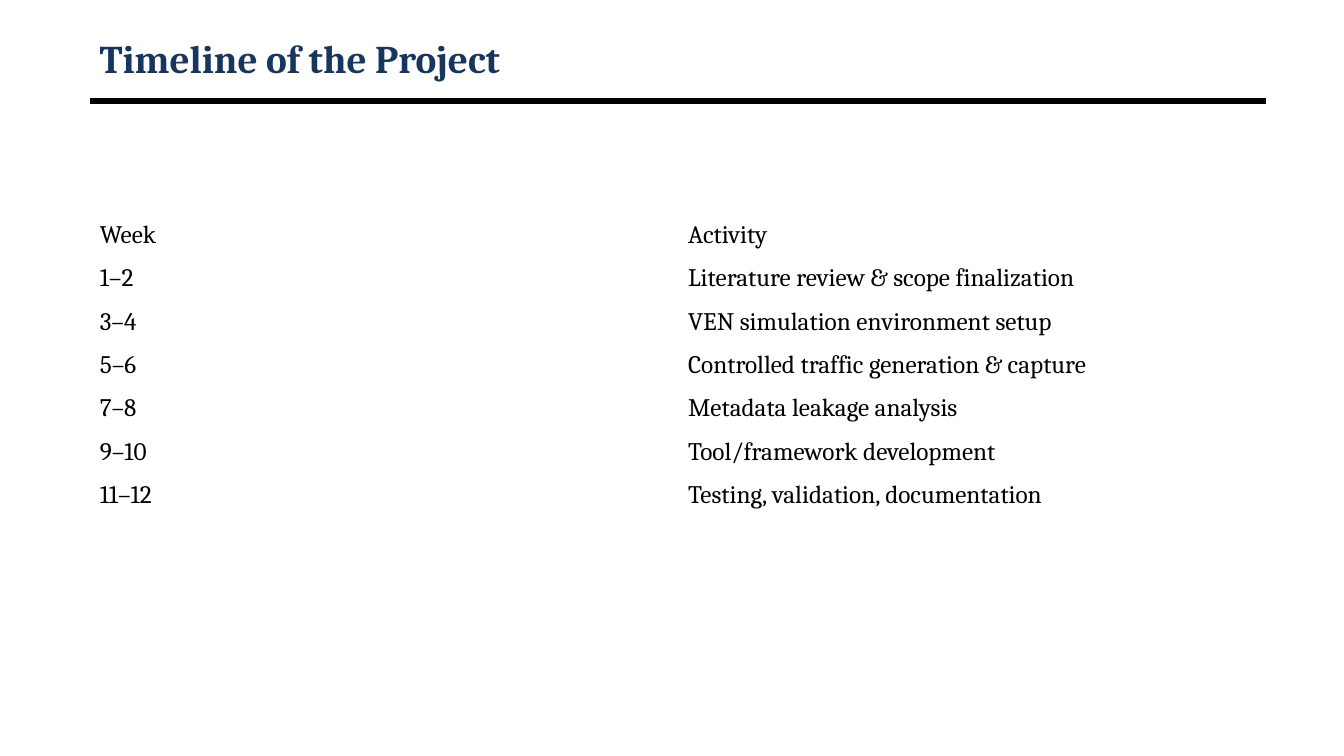
import pptx
import pptx.dml.color
import pptx.enum.shapes
import pptx.enum.text
import pptx.oxml.ns
import pptx.util
from lxml import etree

Inches = pptx.util.Inches

SCHEDULE = [
    ("Week", "Activity"),
    ("1–2", "Literature review & scope finalization"),
    ("3–4", "VEN simulation environment setup"),
    ("5–6", "Controlled traffic generation & capture"),
    ("7–8", "Metadata leakage analysis"),
    ("9–10", "Tool/framework development"),
    ("11–12", "Testing, validation, documentation"),
]


def color(value):
    return pptx.dml.color.RGBColor.from_string(value)


def write(frame, text, size=18, fill="000000", bold=False):
    para = frame.paragraphs[0]
    para.alignment = pptx.enum.text.PP_ALIGN.LEFT
    span = para.add_run()
    span.text = text
    span.font.name = "Cambria"
    span.font.size = pptx.util.Pt(size)
    span.font.bold = bold
    span.font.color.rgb = color(fill)


def add_heading(page, text, left, top, width, height):
    """Place the title with a thick rule along the bottom of its box."""
    bottom = top + height
    rule = page.shapes.add_connector(
        pptx.enum.shapes.MSO_CONNECTOR.STRAIGHT,
        Inches(left), Inches(bottom), Inches(left + width), Inches(bottom))
    rule.line.color.rgb = color("000000")
    rule.line.width = pptx.util.Pt(4.5)
    etree.SubElement(rule._element.spPr, pptx.oxml.ns.qn("a:effectLst"))

    box = page.shapes.add_textbox(
        Inches(left), Inches(top), Inches(width), Inches(height - 0.15))
    box.text_frame.word_wrap = True
    box.text_frame.vertical_anchor = pptx.enum.text.MSO_ANCHOR.MIDDLE
    write(box.text_frame, text, size=28, fill="17365D", bold=True)


def add_schedule(page, rows, left, top, width, height):
    table = page.shapes.add_table(
        len(rows), len(rows[0]),
        Inches(left), Inches(top), Inches(width), Inches(height)).table
    table.first_row = False
    table.horz_banding = False
    for row_index, row in enumerate(rows):
        for column_index, text in enumerate(row):
            cell = table.cell(row_index, column_index)
            cell.fill.background()
            cell.vertical_anchor = pptx.enum.text.MSO_ANCHOR.MIDDLE
            write(cell.text_frame, text)


def main():
    deck = pptx.Presentation()
    deck.slide_width = Inches(13.33)
    deck.slide_height = Inches(7.5)
    page = deck.slides.add_slide(deck.slide_layouts[6])
    left, width = 0.89, 11.67
    add_heading(page, "Timeline of the Project", left, 0.29, width, 0.71)
    add_schedule(page, SCHEDULE, left, 2.12, width, 3.01)
    deck.save("out.pptx")


if __name__ == "__main__":
    main()
